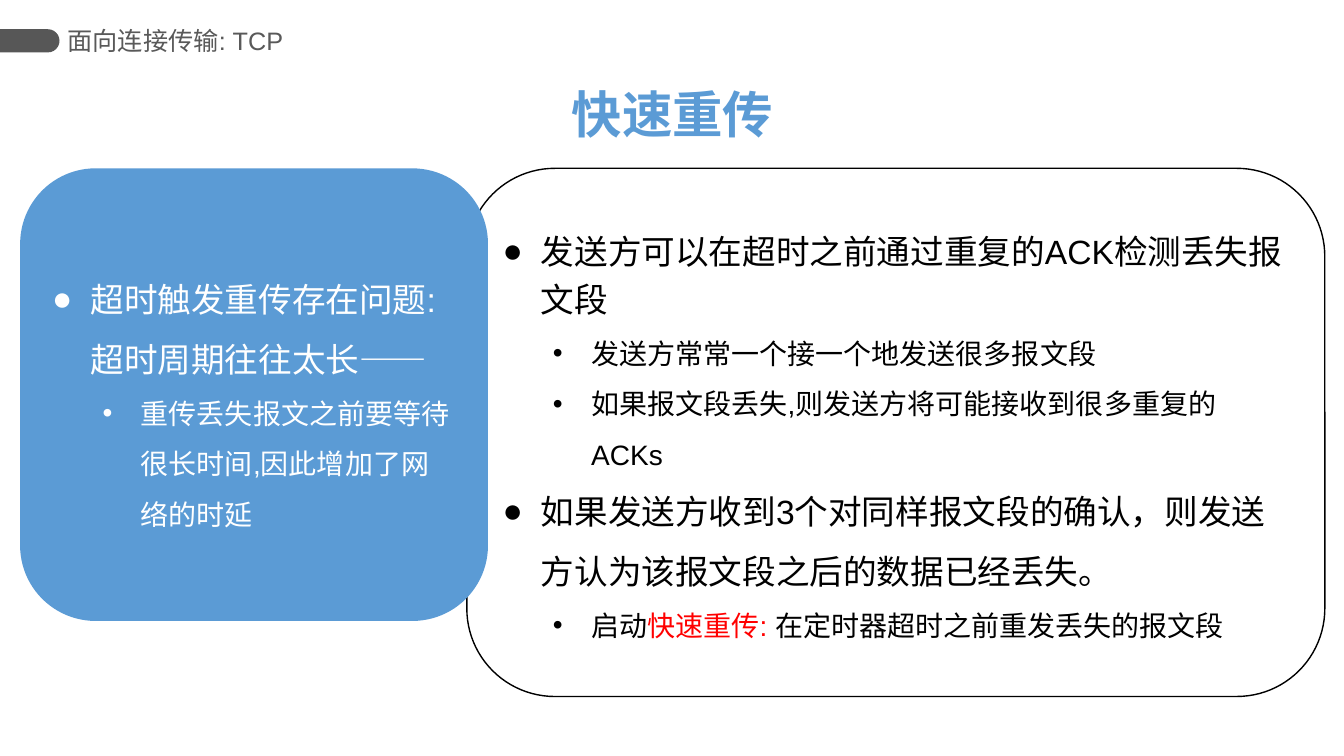
from pptx import Presentation
from pptx.dml.color import RGBColor
from pptx.enum.shapes import MSO_SHAPE as Shape
from pptx.enum.text import MSO_ANCHOR as Anchor, MSO_AUTO_SIZE as AutoSize, PP_ALIGN as Align
from pptx.oxml.ns import qn
from pptx.util import Pt
from lxml.etree import SubElement

PX = 9144
BLUE, BLACK, WHITE, RED = "5B9BD5", "000000", "FFFFFF", "FF0000"
GRAY, DARK = "595959", "575757"


def color(value):
    return RGBColor.from_string(value)


def add_spans(para, spans, size, bold=False):
    for words, ink in spans:
        span = para.add_run()
        span.text = words
        formats = {"name": "Arial", "size": Pt(size), "bold": bold}
        for name, value in formats.items():
            setattr(span.font, name, value)
        span.font.color.rgb = color(ink)


deck = Presentation()
deck.slide_width, deck.slide_height = 1333 * PX, 750 * PX
page = deck.slides.add_slide(deck.slide_layouts[6])

tab = page.shapes.add_shape(Shape.ROUND_2_SAME_RECTANGLE, 18 * PX, 11 * PX, 23 * PX, 59 * PX)
tab.rotation = 90
tab.adjustments[0] = 0.5
tab.shadow.inherit = False
tab.fill.solid()
tab.fill.fore_color.rgb = color(DARK)
tab.line.fill.background()

levels = [
    {"margin": 38, "bullet": "●", "size": 24},
    {"margin": 88, "bullet": "•", "size": 20},
]
cards = [
    ((463, 167, 851, 524), None, BLACK, [
        (0, 1.2, [("发送方可以在超时之前通过重复的ACK检测丢失报文段", BLACK)]),
        (1, 1.5, [("发送方常常一个接一个地发送很多报文段", BLACK)]),
        (1, 1.5, [("如果报文段丢失,则发送方将可能接收到很多重复的 ACKs", BLACK)]),
        (0, 1.5, [("如果发送方收到3个对同样报文段的确认，则发送方认为该报文段之后的数据已经丢失。", BLACK)]),
        (1, 1.5, [("启动", BLACK), ("快速重传: ", RED), ("在定时器超时之前重发丢失的报文段", BLACK)]),
    ]),
    ((20, 167, 464, 449), BLUE, None, [
        (0, 1.5, [("超时触发重传存在问题:超时周期往往太长——", WHITE)]),
        (1, 1.5, [("重传丢失报文之前要等待很长时间,因此增加了网络的时延", WHITE)]),
    ]),
]
for place, fill, line, items in cards:
    card = page.shapes.add_shape(Shape.ROUNDED_RECTANGLE, *[side * PX for side in place])
    card.shadow.inherit = False
    if fill:
        card.fill.solid()
        card.fill.fore_color.rgb = color(fill)
    else:
        card.fill.background()
    if line:
        card.line.color.rgb = color(line)
        card.line.width = Pt(1)
    else:
        card.line.fill.background()
    frame = card.text_frame
    frame.word_wrap = True
    frame.vertical_anchor = Anchor.MIDDLE
    for index, (level, spacing, spans) in enumerate(items):
        para = frame.add_paragraph() if index else frame.paragraphs[0]
        style = levels[level]
        formats = {"level": level, "alignment": Align.LEFT, "line_spacing": spacing}
        for name, value in formats.items():
            setattr(para, name, value)
        props = para._p.get_or_add_pPr()
        props.set("marL", str(style["margin"] * PX))
        props.set("indent", str(-38 * PX))
        SubElement(props, qn("a:buFont"), typeface="Arial")
        SubElement(props, qn("a:buChar"), char=style["bullet"])
        add_spans(para, spans, style["size"])

labels = [
    ((67, 19, 233, 42), "面向连接传输: TCP", 18, GRAY, False, Align.LEFT,
     {"word_wrap": True, "vertical_anchor": Anchor.MIDDLE, "margin_left": 0, "margin_right": 0}),
    ((556, 78, 222, 71), "快速重传", 36, BLUE, True, Align.CENTER,
     {"word_wrap": False, "auto_size": AutoSize.SHAPE_TO_FIT_TEXT}),
]
for place, words, size, ink, bold, align, formats in labels:
    box = page.shapes.add_textbox(*[side * PX for side in place])
    for name, value in formats.items():
        setattr(box.text_frame, name, value)
    para = box.text_frame.paragraphs[0]
    para.alignment = align
    add_spans(para, [(words, ink)], size, bold)

deck.save("out.pptx")
